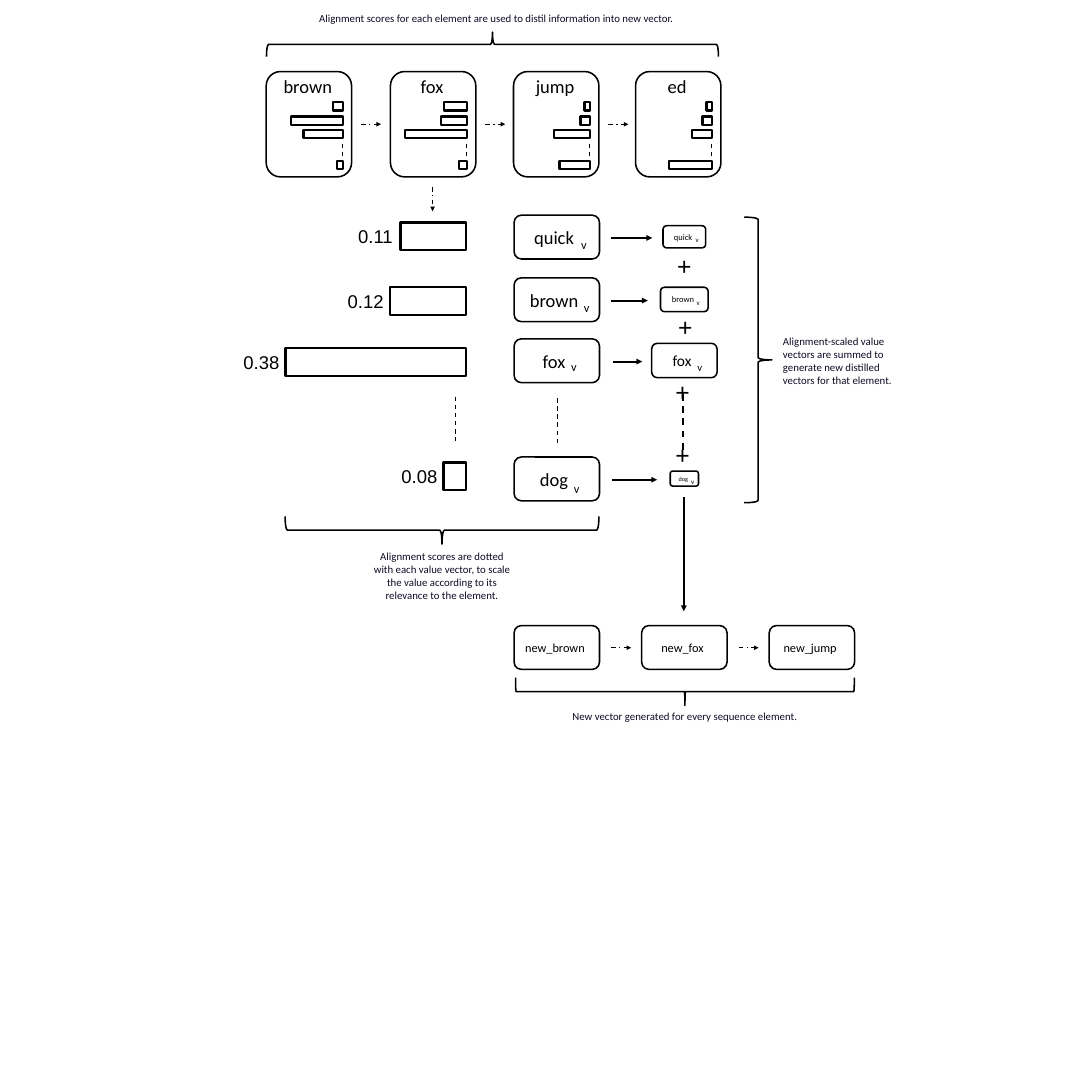
"""Build the slide on how alignment scores distil values into new vectors."""
from lxml.etree import SubElement
from pptx import Presentation
from pptx.dml.color import RGBColor
from pptx.enum.dml import MSO_LINE
from pptx.enum.shapes import MSO_CONNECTOR, MSO_SHAPE
from pptx.enum.text import MSO_ANCHOR, PP_ALIGN
from pptx.oxml.ns import qn
from pptx.util import Inches, Pt

COLORS = {"ink": "000000", "navy": "0C0C25"}
LEFT, MID = PP_ALIGN.LEFT, PP_ALIGN.CENTER

CARDS = [
    ("brown", 4.8, (0.18, 0.93, 0.71, 0.1)),
    ("fox", 7.04, (0.41, 0.47, 1.12, 0.14)),
    ("jump", 9.26, (0.1, 0.17, 0.65, 0.55)),
    ("ed", 11.46, (0.1, 0.17, 0.36, 0.78)),
]
BAR_TOPS = (1.84, 2.1, 2.34, 2.9)

ROWS = [
    ("quick", "0.11", 3.88, (4.01, 1.18), (10.53, 4.22), (11.01, 11.76),
     (0.77, 0.4, 11), (12.57, 4.2, 9)),
    ("brown", "0.12", 5.01, (5.18, 1.37), (10.58, 5.36), (11.01, 11.68),
     (0.86, 0.44, 11), (12.59, 5.33, 9)),
    ("fox", "0.38", 6.11, (6.28, 3.25), (10.35, 6.42), (11.05, 11.58),
     (1.18, 0.62, 20), (12.62, 6.45, 14)),
    ("dog", "0.08", 8.24, (8.34, 0.4), (10.4, 8.63), (11.04, 11.85),
     (0.51, 0.27, 8), (12.49, 8.57, 9)),
]

PLUSES = [(12.11, 4.48), (12.13, 5.57), (12.08, 6.74), (12.08, 7.89)]

NOTES = [
    ("Alignment scores for each element are used to distil information "
     "into new vector.", 5.31, 0.17, 7.28, 0.34, MID),
    ("Alignment scores are dotted with each value vector, to scale the value "
     "according to its relevance to the element.", 6.61, 9.87, 2.72, 1.04, MID),
    ("Alignment-scaled value vectors are summed to generate new distilled "
     "vectors for that element.", 14.02, 5.99, 2.34, 1.04, LEFT),
    ("New vector generated for every sequence element.",
     9.97, 12.74, 4.76, 0.34, MID),
]

BRACES = [
    (8.88, 0.8, 0.44, 8.15, 270, 0.08),
    (7.97, 9.56, 0.5, 5.66, 90, 0.08),
    (13.67, 6.49, 0.5, 5.15, 0, 0.08),
    (12.35, 12.47, 0.5, 6.11, 90, 0.02),
]


def color(name):
    return RGBColor.from_string(COLORS[name])


def write(frame, text, size, align=MID, font="Calibri", ink="ink"):
    frame.word_wrap = True
    frame.text = text
    line = frame.paragraphs[0]
    line.alignment = align
    face = line.runs[0].font
    face.name, face.size = font, Pt(size)
    face.color.rgb = color(ink)


def label(slide, text, x, y, w, h, size, **style):
    box = slide.shapes.add_textbox(Inches(x), Inches(y), Inches(w), Inches(h))
    write(box.text_frame, text, size, **style)


def outline(slide, kind, x, y, w, h, weight):
    shape = slide.shapes.add_shape(
        kind, Inches(x), Inches(y), Inches(w), Inches(h))
    shape.shadow.inherit = False
    shape.fill.background()
    shape.line.color.rgb = color("ink")
    shape.line.width = Pt(weight)
    return shape


def bar(slide, right, y, w, h):
    outline(slide, MSO_SHAPE.RECTANGLE, right - w, y, w, h, 3)


def vector(slide, text, x, y, w, h, size):
    shape = outline(slide, MSO_SHAPE.ROUNDED_RECTANGLE, x, y, w, h, 2)
    frame = shape.text_frame
    frame.margin_left = frame.margin_top = frame.margin_bottom = 0
    frame.margin_right = Inches(size / 240)
    frame.vertical_anchor = MSO_ANCHOR.MIDDLE
    write(frame, text, size)


def brace(slide, x, y, depth, span, turn, curve):
    shape = outline(slide, MSO_SHAPE.RIGHT_BRACE,
                    x - depth / 2, y - span / 2, depth, span, 2)
    shape.adjustments[0] = curve
    shape.rotation = turn


def link(slide, x1, y1, x2, y2, weight=1.5, dash=None, arrow=False):
    line = slide.shapes.add_connector(
        MSO_CONNECTOR.STRAIGHT, Inches(x1), Inches(y1), Inches(x2), Inches(y2))
    line.line.color.rgb = color("ink")
    line.line.width = Pt(weight)
    if dash:
        line.line.dash_style = dash
    if arrow:
        SubElement(line.line._get_or_add_ln(), qn("a:tailEnd"), type="triangle")
    SubElement(line._element.spPr, qn("a:effectLst"))


def step(slide, x1, y1, x2, y2):
    link(slide, x1, y1, x2, y2, dash=MSO_LINE.DASH_DOT, arrow=True)


def card(slide, word, x, widths):
    outline(slide, MSO_SHAPE.ROUNDED_RECTANGLE, x, 1.29, 1.54, 1.9, 2)
    label(slide, word, x, 1.31, 1.5, 0.5, 24)
    for y, w in zip(BAR_TOPS, widths):
        bar(slide, x + 1.38, y, w, 0.15)
    link(slide, x + 1.37, 2.59, x + 1.37, 2.9, dash=MSO_LINE.DASH)


def row(slide, word, score, top, score_bar, mark, span, small, tag):
    y, width = score_bar
    bar(slide, 8.4, y, width, 0.5)
    label(slide, score, 7.54 - width, y, 0.85, 0.5, 24, align=LEFT, font="Arial")
    vector(slide, word, 9.27, top, 1.54, 0.79, 24)
    label(slide, "v", mark[0] - 0.25, mark[1], 0.5, 0.37, 16)
    link(slide, span[0], top + 0.41, span[1], top + 0.41, 2.5, arrow=True)
    w, h, size = small
    vector(slide, word, 12.34 - w / 2, top + 0.39 - h / 2, w, h, size)
    x, y, size = tag
    label(slide, "v", x - 0.16, y, 0.32, 0.25, size)


def main():
    deck = Presentation()
    deck.slide_width = deck.slide_height = Inches(19.69)
    slide = deck.slides.add_slide(deck.slide_layouts[6])

    for item in CARDS:
        card(slide, *item)
    for word, x, widths in CARDS[:-1]:
        step(slide, x + 1.71, 2.24, x + 2.07, 2.24)
    step(slide, 7.8, 3.37, 7.8, 3.81)

    for item in ROWS:
        row(slide, *item)
    for x, y in PLUSES:
        label(slide, "+", x, y, 0.43, 0.64, 32, align=LEFT, font="Arial")
    for x, y1, y2, weight in [(8.22, 7.15, 7.96, 1.5), (10.06, 7.18, 7.99, 1.5),
                              (12.32, 7.11, 8.2, 2.25)]:
        link(slide, x, y1, x, y2, weight, MSO_LINE.DASH)
    link(slide, 12.33, 8.97, 12.33, 11.02, 2.5, arrow=True)

    for i, word in enumerate(["new_brown", "new_fox", "new_jump"]):
        x = 9.27 + 2.3 * i
        vector(slide, word, x, 11.28, 1.54, 0.79, 16)
        if i < 2:
            step(slide, x + 1.75, 11.68, x + 2.11, 11.68)

    for item in BRACES:
        brace(slide, *item)
    for text, x, y, w, h, align in NOTES:
        label(slide, text, x, y, w, h, 14, align=align, ink="navy")
    deck.save("out.pptx")


if __name__ == "__main__":
    main()
